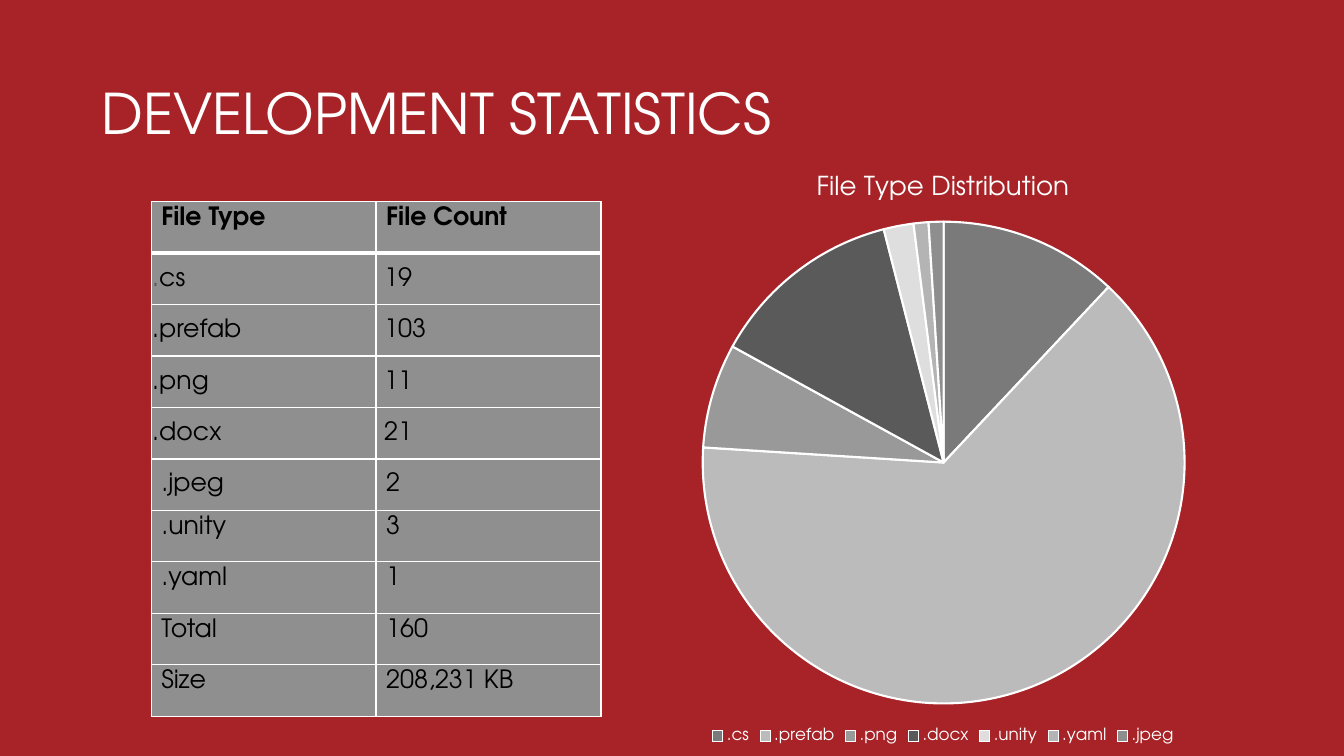
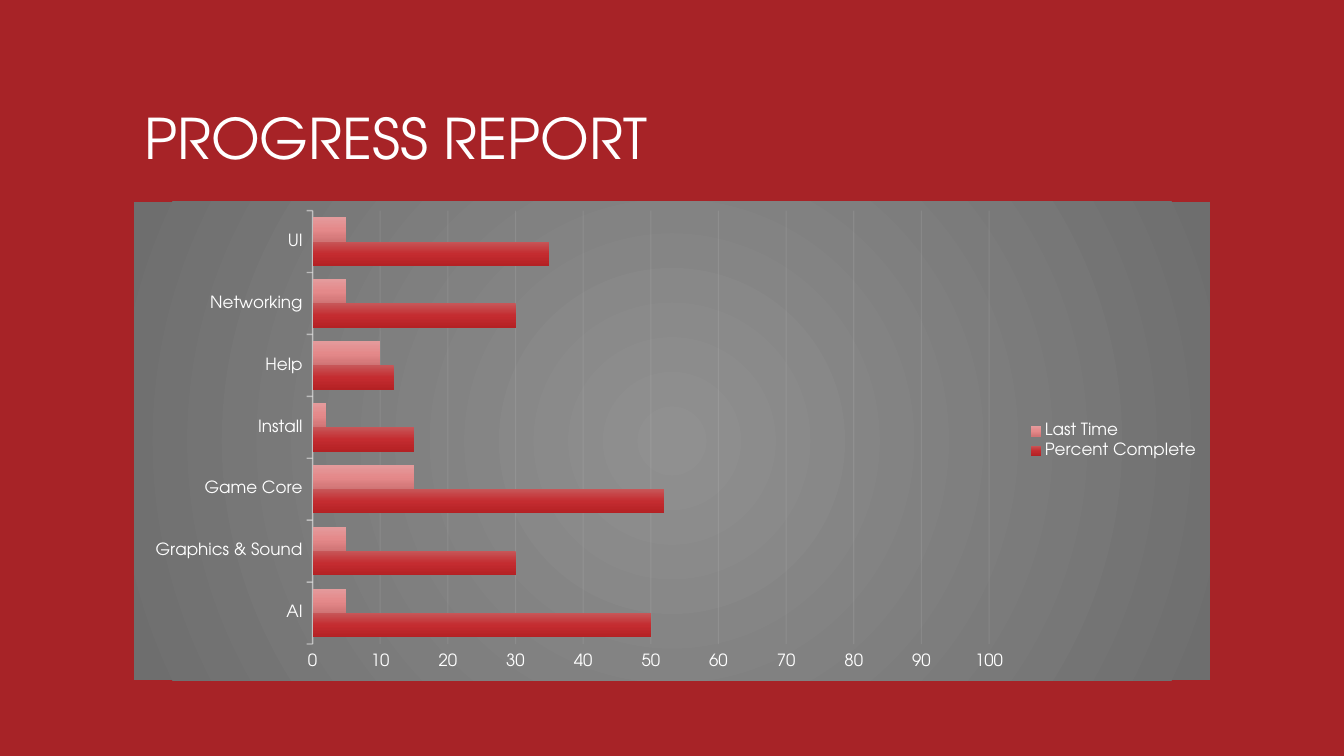
from pptx import Presentation
from pptx.chart.data import CategoryChartData
from pptx.dml.color import RGBColor
from pptx.enum.chart import XL_CHART_TYPE, XL_LEGEND_POSITION, XL_TICK_MARK
from pptx.enum.text import MSO_ANCHOR, MSO_AUTO_SIZE, PP_ALIGN
from pptx.oxml import parse_xml
from pptx.oxml.ns import nsdecls, qn
from pptx.util import Inches, Pt

PIE, BAR = XL_CHART_TYPE.PIE, XL_CHART_TYPE.BAR_CLUSTERED
LEGEND_BOTTOM, LEGEND_RIGHT = XL_LEGEND_POSITION.BOTTOM, XL_LEGEND_POSITION.RIGHT
TICK_OUT = XL_TICK_MARK.OUTSIDE
TOP, MIDDLE, BOTTOM = MSO_ANCHOR.TOP, MSO_ANCHOR.MIDDLE, MSO_ANCHOR.BOTTOM
LEFT, NO_AUTOFIT = PP_ALIGN.LEFT, MSO_AUTO_SIZE.NONE

FONT = "TeX Gyre Adventor"
RED = RGBColor(0xA7, 0x23, 0x27)
WHITE = RGBColor(0xFF, 0xFF, 0xFF)
BLACK = RGBColor(0x00, 0x00, 0x00)
PALE = RGBColor(0xF2, 0xF2, 0xF2)
CELL_GREY = RGBColor(0x8F, 0x8F, 0x8F)
DARK_GREY = RGBColor(0x54, 0x54, 0x54)
SLICE_GREYS = [RGBColor(shade, shade, shade)
               for shade in (0x7A, 0xBB, 0x99, 0x5A, 0xDE, 0xB4, 0x8E)]

PANEL_STOPS = ((0, "909090"), (100, "6E6E6E"))
PANEL_SHADE = ('<a:path path="circle"><a:fillToRect l="50000" t="50000" '
               'r="50000" b="50000"/></a:path>')
BAR_SHADE = '<a:lin ang="5400000" scaled="0"/>'

FILE_ROWS = [
    ("File Type", "File Count"), (".cs", "19"), (".prefab", "103"),
    (".png", "11"), (".docx", "21"), (".jpeg", "2"), (".unity", "3"),
    (".yaml", "1"), ("Total", "160"), ("Size", "208,231 KB"),
]
TIGHT_ROWS = range(1, 5)
MIDDLE_ROWS = range(1, 6)

FILE_SHARES = {".cs": 12, ".prefab": 64, ".png": 7, ".docx": 13,
               ".unity": 2, ".yaml": 1, ".jpeg": 1}

WORK_AREAS = ["AI", "Graphics & Sound", "Game Core", "Install", "Help",
              "Networking", "UI"]
PROGRESS = [
    ("Percent Complete", (50, 30, 52, 15, 12, 30, 35),
     ((0, "C75658"), (50, "C42C30"), (100, "B42124"))),
    ("Last Time", (5, 5, 15, 2, 10, 5, 5),
     ((0, "E49B9C"), (50, "E4898A"), (100, "D07475"))),
]


def inches(box):
    """Turn a box of numbers into lengths."""
    return [Inches(side) for side in box]


def style_font(font, size, color, bold=False):
    """Apply the deck's typeface with a size and colour."""
    font.name = FONT
    font.size = Pt(size)
    font.bold = bold
    font.color.rgb = color


def gradient(stops, shade):
    """Build a gradient fill from percent stops and its shading rule."""
    marks = "".join(f'<a:gs pos="{pos * 1000}"><a:srgbClr val="{color}"/></a:gs>'
                    for pos, color in stops)
    return parse_xml(f'<a:gradFill {nsdecls("a")} rotWithShape="1">'
                     f'<a:gsLst>{marks}</a:gsLst>{shade}</a:gradFill>')


def style_line(line, width, opacity):
    """Draw a pale line with the given opacity in percent."""
    line.color.rgb = PALE
    line.width = Pt(width)
    color = line.fill._xPr.find(".//" + qn("a:srgbClr"))
    color.append(parse_xml(f'<a:alpha {nsdecls("a")} val="{opacity * 1000}"/>'))


def add_titled_slide(prs, heading, box):
    """Add a slide with its heading set in the title placeholder."""
    slide = prs.slides.add_slide(prs.slide_layouts[5])
    title = slide.shapes.title
    title.left, title.top, title.width, title.height = inches(box)
    frame = title.text_frame
    frame.text = heading
    frame.auto_size = NO_AUTOFIT
    frame.vertical_anchor = BOTTOM
    line = frame.paragraphs[0]
    line.alignment = LEFT
    line.line_spacing = 0.9
    style_font(line.runs[0].font, 40, WHITE)
    return slide


def set_borders(cell, top, bottom):
    """Give a cell white borders, with top and bottom widths in points."""
    props = cell._tc.get_or_add_tcPr()
    sides = (("lnL", 1), ("lnR", 1), ("lnT", top), ("lnB", bottom))
    for place, (side, width) in enumerate(sides):
        props.insert(place, parse_xml(
            f'<a:{side} {nsdecls("a")} w="{Pt(width)}"><a:solidFill>'
            f'<a:srgbClr val="{WHITE}"/></a:solidFill></a:{side}>'))


def add_file_table(slide, box):
    """Add the table of file counts."""
    table = slide.shapes.add_table(len(FILE_ROWS), 2, *inches(box)).table
    table.horz_banding = False
    for row, texts in enumerate(FILE_ROWS):
        for column, text in enumerate(texts):
            cell = table.cell(row, column)
            cell.text = text
            cell.fill.solid()
            cell.fill.fore_color.rgb = CELL_GREY
            cell.vertical_anchor = MIDDLE if row in MIDDLE_ROWS else TOP
            if row in TIGHT_ROWS:
                cell.margin_left = Inches(0.08 if column else 0.01)
                cell.margin_top = cell.margin_right = Inches(0.01)
                cell.margin_bottom = 0
            style_font(cell.text_frame.paragraphs[0].runs[0].font, 18, BLACK, row == 0)
            set_borders(cell, 3 if row == 1 else 1, 3 if row == 0 else 1)
    first_type = table.cell(1, 0).text_frame.paragraphs[0]
    first_type.runs[0].text = "."
    style_font(first_type.runs[0].font, 18, DARK_GREY)
    suffix = first_type.add_run()
    suffix.text = "cs"
    style_font(suffix.font, 18, BLACK)


def add_styled_chart(slide, kind, data, box, plot_box, legend_place):
    """Add a chart with a white legend and its plot at an inner box in inches."""
    chart = slide.shapes.add_chart(kind, *inches(box), data).chart
    style_font(chart.font, 12, WHITE)
    chart.has_legend = True
    chart.legend.position = legend_place
    chart.legend.include_in_layout = False
    style_font(chart.legend.font, 12, WHITE)
    area = chart._chartSpace.find(".//" + qn("c:plotArea"))
    for layout in area.findall(qn("c:layout")):
        area.remove(layout)
    places = "".join(f'<c:{key} val="{length / whole:.4f}"/>'
                     for key, length, whole in zip("xywh", plot_box, box[2:] * 2))
    area.insert(0, parse_xml(
        f'<c:layout {nsdecls("c")}><c:manualLayout><c:layoutTarget val="inner"/>'
        f'<c:xMode val="edge"/><c:yMode val="edge"/>{places}'
        '</c:manualLayout></c:layout>'))
    return chart


def add_file_pie(slide, box):
    """Add the pie of file type shares."""
    data = CategoryChartData()
    data.categories = list(FILE_SHARES)
    data.add_series("Series 1", FILE_SHARES.values())
    chart = add_styled_chart(slide, PIE, data, box, (2.06, 0.7, 4.78, 4.78),
                             LEGEND_BOTTOM)
    chart.has_title = True
    caption = chart.chart_title.text_frame
    caption.text = "File Type Distribution"
    style_font(caption.paragraphs[0].runs[0].font, 18.6, WHITE)
    shares = chart.plots[0].series[0]
    for index, grey in enumerate(SLICE_GREYS):
        look = shares.points[index].format
        look.fill.solid()
        look.fill.fore_color.rgb = grey
        look.line.color.rgb = WHITE
        look.line.width = Pt(1.5)


def add_progress_bars(slide, box):
    """Add the bar chart of progress by work area."""
    data = CategoryChartData()
    data.categories = WORK_AREAS
    for name, values, _ in PROGRESS:
        data.add_series(name, values)
    chart = add_styled_chart(slide, BAR, data, box, (1.77, 0.09, 6.71, 4.3),
                             LEGEND_RIGHT)
    chart.has_title = False
    panel = parse_xml(f'<c:spPr {nsdecls("c", "a")}/>')
    panel.append(gradient(PANEL_STOPS, PANEL_SHADE))
    panel.append(parse_xml(f'<a:ln {nsdecls("a")}><a:noFill/></a:ln>'))
    chart._chartSpace.find(qn("c:chart")).addnext(panel)

    plot = chart.plots[0]
    plot.gap_width = 55
    plot.overlap = 0
    plot.vary_by_categories = False
    for series, (_, _, stops) in zip(plot.series, PROGRESS):
        series.invert_if_negative = False
        series._element.get_or_add_spPr().append(gradient(stops, BAR_SHADE))

    areas, percent = chart.category_axis, chart.value_axis
    for axis in (areas, percent):
        axis.major_tick_mark = TICK_OUT
        style_font(axis.tick_labels.font, 12, WHITE)
    style_line(areas.format.line, 1, 54)
    percent.minimum_scale, percent.maximum_scale = 0, 100
    percent.major_unit = 10
    percent.format.line.fill.background()
    style_line(percent.major_gridlines.format.line, 0.75, 10)


def main():
    """Build and save the two slides."""
    prs = Presentation()
    prs.slide_width, prs.slide_height = Inches(13.33), Inches(7.5)
    backdrop = prs.slide_master.background.fill
    backdrop.solid()
    backdrop.fore_color.rgb = RED

    statistics = add_titled_slide(prs, "DEVELOPMENT STATISTICS", (0.91, 0.05, 10.67, 1.45))
    add_file_table(statistics, (1.5, 2, 4.46, 5.11))
    add_file_pie(statistics, (4.91, 1.5, 8.89, 5.92))

    progress = add_titled_slide(prs, "PROGRESS REPORT", (1.33, 0.3, 10.67, 1.45))
    add_progress_bars(progress, (1.33, 2, 10.67, 4.75))
    prs.save("out.pptx")


if __name__ == "__main__":
    main()
